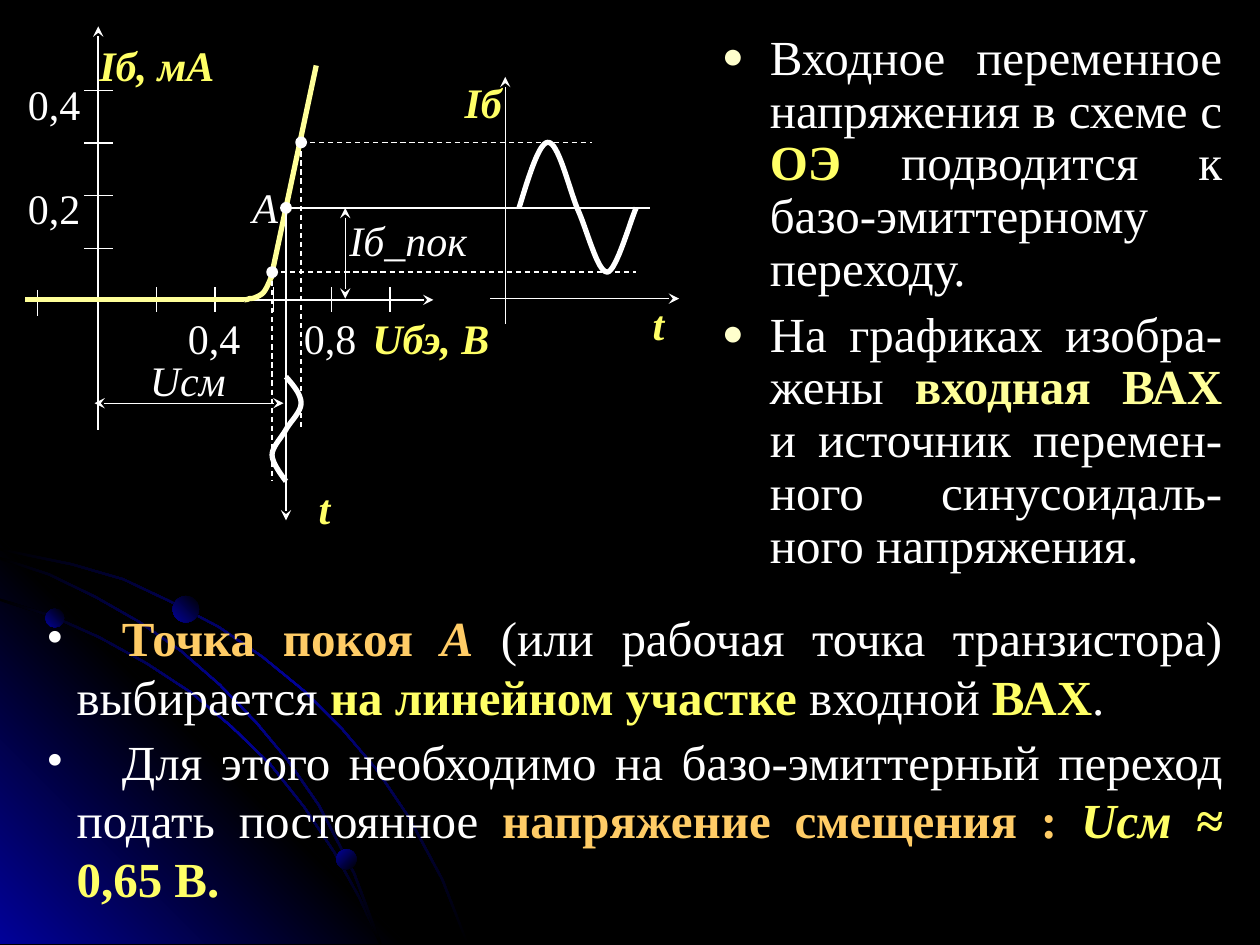
from dataclasses import dataclass

from lxml import etree
from pptx import Presentation
from pptx import util as u
from pptx.dml.color import RGBColor
from pptx.enum import dml, shapes, text
from pptx.oxml import ns

COLORS = {
    "black": "000000", "white": "FFFFFF", "navy": "010199", "yellow": "FFFF66",
    "curve": "FFFF99", "cream": "FFFFCC", "orange": "FFCC66",
}
COLUMNS, ROWS = 100, 75
FACE = "Times New Roman"
ITALIC = {"italic": True}
BOLD = {"bold": True}
STRONG = {"bold": True, "italic": True}


@dataclass
class Box:
    left: float
    top: float
    width: float = 0
    height: float = 0

    def point(self, x, y):
        return cell(self.left + x), cell(self.top + y)

    def frame(self):
        return [cell(n) for n in (self.left, self.top, self.width, self.height)]


def cell(count):
    return u.Inches(count * 10 / COLUMNS)


def rgb(name):
    return RGBColor.from_string(COLORS[name])


def child(parent, tag, **attributes):
    return etree.SubElement(parent, ns.qn(tag), attributes)


def add_gradient(shape, names, angle):
    shape.shadow.inherit = False
    shape.line.fill.background()
    shape.fill.gradient()
    gradient = shape.element.spPr.find(ns.qn("a:gradFill"))
    for part in list(gradient):
        gradient.remove(part)
    stops = child(gradient, "a:gsLst")
    for index, name in enumerate(names):
        stop = child(stops, "a:gs", pos=str(index * 100000 // (len(names) - 1)))
        child(stop, "a:srgbClr", val=COLORS[name])
    child(gradient, "a:lin", ang=str(angle * 60000), scaled="0")


def add_line(page, box, start, end, color="white", width=0.75, dashed=False, arrows=()):
    line = page.shapes.add_connector(
        shapes.MSO_CONNECTOR.STRAIGHT, *box.point(*start), *box.point(*end))
    line.line.color.rgb = rgb(color)
    line.line.width = u.Pt(width)
    if dashed:
        line.line.dash_style = dml.MSO_LINE.DASH
    for arrow in arrows:
        child(line.line._get_or_add_ln(), "a:" + arrow, type="stealth")
    child(line.element.spPr, "a:effectLst")


def add_outline(page, box, points, closed=False):
    first, *others = [box.point(*point) for point in points]
    builder = page.shapes.build_freeform(*first)
    builder.add_line_segments(others, close=closed)
    shape = builder.convert_to_shape()
    shape.shadow.inherit = False
    return shape


def add_curve(page, box, points, color="white", steps=16):
    track = [points[0]]
    for index in range(0, len(points) - 1, 3):
        knots = points[index:index + 4]
        for step in range(1, steps + 1):
            t = step / steps
            weights = (1 - t) ** 3, 3 * t * (1 - t) ** 2, 3 * t * t * (1 - t), t ** 3
            track.append([sum(w * k[axis] for w, k in zip(weights, knots)) for axis in (0, 1)])
    curve = add_outline(page, box, track)
    curve.fill.background()
    curve.line.color.rgb = rgb(color)
    curve.line.width = u.Pt(3)


def add_span(para, words, size, color="white", style=None):
    span = para.add_run()
    span.text = words
    formats = {"name": FACE, "size": u.Pt(size), "bold": False, "italic": False, **(style or {})}
    for key, value in formats.items():
        setattr(span.font, key, value)
    span.font.color.rgb = rgb(color)


def set_margins(frame, side, end):
    margins = {"margin_left": side, "margin_right": side, "margin_top": end, "margin_bottom": end}
    for key, value in margins.items():
        setattr(frame, key, u.Inches(value))


def add_label(page, box, x, y, width, words, color="white", style=None):
    area = Box(box.left + x, box.top + y, width, 3.1)
    frame = page.shapes.add_textbox(*area.frame()).text_frame
    set_margins(frame, 0, 0)
    para = frame.paragraphs[0]
    para.alignment = text.PP_ALIGN.CENTER
    add_span(para, words, 24, color, style)


def fill_list(frame, items, indent, bullet, bullet_color, bullet_size, spacing, gap, tab=None):
    set_margins(frame, 0.1, 0.05)
    for key, value in {"word_wrap": True, "auto_size": text.MSO_AUTO_SIZE.NONE,
                       "vertical_anchor": text.MSO_ANCHOR.TOP}.items():
        setattr(frame, key, value)
    for index, spans in enumerate(items):
        para = frame.add_paragraph() if index else frame.paragraphs[0]
        for key, value in {"alignment": text.PP_ALIGN.JUSTIFY, "line_spacing": spacing,
                           "space_before": u.Pt(gap if index else 0)}.items():
            setattr(para, key, value)
        properties = para._p.get_or_add_pPr()
        properties.set("marL", str(u.Inches(indent)))
        properties.set("indent", str(-u.Inches(indent)))
        child(child(properties, "a:buClr"), "a:srgbClr", val=COLORS[bullet_color])
        child(properties, "a:buSzPct", val=str(bullet_size * 1000))
        child(properties, "a:buFont", typeface=FACE)
        child(properties, "a:buChar", char=bullet)
        if tab:
            child(child(properties, "a:tabLst"), "a:tab", pos=str(u.Inches(tab)), algn="l")
        for span in spans:
            add_span(para, span[0], 28, *span[1:])


def draw_backdrop(page, box):
    corner = add_outline(page, box, [(0, 0), (32.2, 32.2), (0, 32.2)], closed=True)
    add_gradient(corner, ["navy", "black", "navy"], 135)
    arcs = [
        [(0, 0.8), (2.8, 1.4), (5.7, 2), (9.8, 3.2), (13.6, 5), (17.4, 7), (20.9, 9.4), (24.2, 12.1),
         (27.2, 15.1), (30, 18.4), (32.5, 22.1), (35.2, 27.1), (37.2, 32.2)],
        [(0, 4.8), (4.1, 6.1), (7.9, 7.8), (11.7, 9.9), (15.2, 12.2), (18.4, 14.9), (21.5, 17.9),
         (24.2, 21.3), (26.6, 24.9), (28.6, 28.5), (30.3, 32.2)],
        [(0, 1.5), (3.9, 2.8), (7.6, 4.6), (11.1, 6.6), (14.4, 8.9), (17.5, 11.6), (20.4, 14.6),
         (22.9, 17.6), (25.4, 21.2), (28.2, 26.6), (30.3, 32.2)],
    ]
    for arc in arcs:
        last = len(arc) - 1
        inner = [(x - 0.2 * i / last, y + 0.2 * (1 - i / last)) for i, (x, y) in enumerate(arc)]
        add_gradient(add_outline(page, box, arc + inner[::-1], closed=True),
                     ["black", "navy", "black"], 225)
    for x, y, size, angle in [(3.6, 5.6, 1.5, 135), (26.7, 24.7, 1.6, 225), (13.7, 4.6, 2.1, 135)]:
        area = Box(box.left + x, box.top + y, size, size)
        planet = page.shapes.add_shape(shapes.MSO_SHAPE.OVAL, *area.frame())
        add_gradient(planet, ["black", "navy"], angle)


def draw_characteristic(page, box):
    low, rest, high = (13.8, -2.2), (14.9, -7.3), (16.1, -12.5)
    add_line(page, box, (-5.8, 0), (26.6, 0), width=1, arrows=["tailEnd"])
    add_line(page, box, (0, 10.3), (0, -21.7), width=1, arrows=["tailEnd"])
    add_line(page, box, (-4.8, -0.8), (-4.8, 1.3))
    for index in range(4):
        y = -4.1 - 4.17 * index
        add_line(page, box, (-1.1, y), (1.2, y))
    for index in range(5):
        x = 4.63 * (index + 1)
        add_line(page, box, (x, -1), (x, 1))
    add_line(page, box, (-5.8, 0), (11.6, 0), "curve", 3)
    add_curve(page, box, [(11.6, 0), (11.6, 0), (11.8, 0), (12, -0.1), (12.1, -0.1), (12.3, -0.1),
                          (12.5, -0.2), (12.7, -0.3), (13, -0.4), (13.2, -0.7), (13.4, -1),
                          (13.7, -1.7), (13.8, -2)], "curve")
    add_line(page, box, (13.7, -1.7), (17.3, -18.6), "curve", 3)
    add_line(page, box, low, (low[0], 14.4), dashed=True)
    add_line(page, box, rest, (rest[0], 17.5), arrows=["tailEnd"])
    add_line(page, box, high, (high[0], 10.3), dashed=True)
    add_line(page, box, high, (39.2, high[1]), dashed=True)
    add_line(page, box, rest, (43.8, rest[1]))
    add_line(page, box, low, (42.7, low[1]), dashed=True)
    for x, y in (low, rest, high):
        area = Box(box.left + x - 0.4, box.top + y - 0.4, 0.8, 0.8)
        dot = page.shapes.add_shape(shapes.MSO_SHAPE.OVAL, *area.frame())
        dot.shadow.inherit = False
        dot.fill.solid()
        dot.fill.fore_color.rgb = dot.line.color.rgb = rgb("white")
        dot.line.width = u.Pt(1)
    add_line(page, box, (-0.3, 8.2), (14.7, 8.2), arrows=["headEnd", "tailEnd"])
    add_line(page, box, (19.6, -7.3), (19.6, -0.1), arrows=["headEnd", "tailEnd"])
    for label in [(-5.8, -9.3, 4.6, "0,2"), (-5.8, -17.6, 4.6, "0,4"), (6.9, 1, 4.6, "0,4"),
                  (16.1, 1, 4.6, "0,8"), (0, -20.7, 9.3, "Iб, мА", "yellow", STRONG),
                  (21.2, 1, 10.4, "Uбэ, В", "yellow", STRONG), (11.5, -9.4, 3.5, "А", "white", ITALIC),
                  (2.5, 4.3, 9.2, "Uсм", "white", ITALIC), (19.4, -6.8, 10.4, "Iб_пок", "white", ITALIC)]:
        add_label(page, box, *label)


def draw_input_wave(page, box):
    add_curve(page, box, [(1.1, 0), (1.7, 0.7), (2.3, 1.4), (2.3, 2.1), (2.3, 2.8), (1.5, 3.5), (1.1, 4.2),
                          (0.7, 4.9), (0, 5.6), (0, 6.2), (0, 6.9), (0.9, 8), (1.1, 8.3)])
    add_label(page, box, 2.4, 8.4, 3.5, "t", "yellow", STRONG)


def draw_current_wave(page, box):
    add_line(page, box, (-1.2, 0), (13.8, 0), arrows=["tailEnd"])
    add_line(page, box, (0, 2), (0, -17.6), arrows=["tailEnd"])
    add_curve(page, box, [(1.1, -7.2), (1.9, -9.8), (2.7, -12.4), (3.4, -12.4), (4.2, -12.4), (5, -9),
                          (5.7, -7.2), (6.5, -5.5), (7.3, -2.1), (8.1, -2.1), (8.8, -2.1), (10, -6.4),
                          (10.4, -7.2)])
    add_label(page, box, 10.4, 0, 3.5, "t", "yellow", STRONG)
    add_label(page, box, -3.5, -17.6, 3.5, "Iб", "yellow", STRONG)


def write_description(page, box):
    body = page.placeholders[1]
    for key, value in zip(("left", "top", "width", "height"), box.frame()):
        setattr(body, key, value)
    fill_list(body.text_frame, [
        [("Входное переменное напряжения в схеме с ",), ("ОЭ", "yellow", BOLD),
         (" подводится к базо-эмиттерному переходу.",)],
        [("На графиках изобра-жены ",), ("входная ВАХ", "curve", BOLD),
         (" и источник перемен-ного синусоидаль-ного напряжения.",)],
    ], 0.38, "●", "cream", 75, 0.9, 7)


def write_conclusion(page, box):
    fill_list(page.shapes.add_textbox(*box.frame()).text_frame, [
        [("\t",), ("Точка покоя ", "orange", BOLD), ("А", "orange", STRONG),
         (" (или рабочая точка транзистора) выбирается ",), ("на линейном участке", "yellow", BOLD),
         (" входной ",), ("ВАХ", "yellow", BOLD), (".",)],
        [("\tДля этого необходимо на базо-эмиттерный переход подать постоянное ",),
         ("напряжение смещения : ", "orange", BOLD), ("Uсм ≈ ", "yellow", STRONG),
         ("0,65 В.", "yellow", BOLD)],
    ], 0.24, "•", "white", 100, 1, 3.5, tab=0.6)


def main():
    deck = Presentation()
    deck.slide_width, deck.slide_height = cell(COLUMNS), cell(ROWS)
    page = deck.slides.add_slide(deck.slide_layouts[1])
    title = page.shapes.title.element
    title.getparent().remove(title)
    page.background.fill.solid()
    page.background.fill.fore_color.rgb = rgb("black")
    draw_backdrop(page, Box(0, 42.7, 37.2, 32.2))
    write_description(page, Box(56.3, 2.1, 41.7, 44.1))
    draw_characteristic(page, Box(7.8, 23.8))
    draw_input_wave(page, Box(21.6, 29.9))
    draw_current_wave(page, Box(40.1, 23.7))
    write_conclusion(page, Box(2.7, 47.7, 95.3, 24.9))
    deck.save("out.pptx")


if __name__ == "__main__":
    main()
